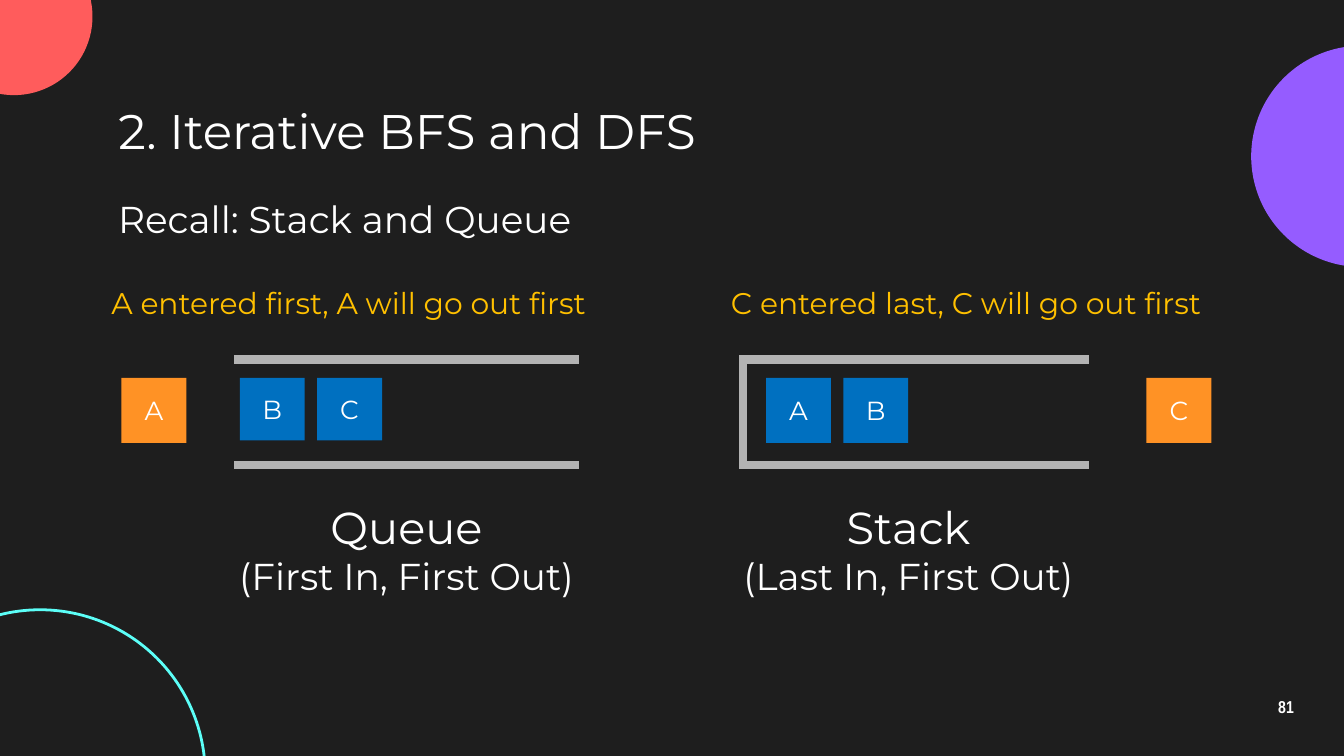
from lxml.etree import SubElement as Sub
from pptx import Presentation
from pptx.dml.color import RGBColor as Color
from pptx.enum.shapes import MSO_CONNECTOR as Conn, MSO_SHAPE as Kind
from pptx.enum.text import MSO_ANCHOR as Anchor, MSO_AUTO_SIZE as Fit, PP_ALIGN as Align
from pptx.oxml.ns import qn
from pptx.util import Pt

FONT = "Montserrat"
WHITE, GOLD, GRAY = "FFFFFF", "FFC000", "B3B3B3"
BLUE, ORANGE, DARK = "0070C0", "FF9225", "1E1E1E"
SIDE, STEP = 34.8, 41.4  # box width and pitch
TOP, LOW = 192.6, 249    # rails of both structures
RAIL = 185


def paint(item, tone):
    """Set a fill, line or font colour from a hex string."""
    if hasattr(item, "solid"):
        item.solid()
        item = item.fore_color
    else:
        item = item.color
    item.rgb = Color.from_string(tone)


def style(para, size, tone=WHITE, align=Align.LEFT, face=FONT, bold=False):
    para.alignment = align
    font = para.font
    font.name, font.size, font.bold = face, Pt(size), bold
    paint(font, tone)


def place(shape, x, y, w, h):
    shape.left, shape.top, shape.width, shape.height = Pt(x), Pt(y), Pt(w), Pt(h)


def setup(frame, anchor=Anchor.TOP):
    frame.word_wrap = True
    frame.auto_size = Fit.NONE
    frame.vertical_anchor = anchor
    frame.margin_left = frame.margin_right = Pt(7.2)
    frame.margin_top = frame.margin_bottom = Pt(7.2)


def label(slide, x, y, w, h, rows, anchor=Anchor.TOP, **look):
    """Add a text box; rows holds (text, size) pairs."""
    frame = slide.shapes.add_textbox(Pt(x), Pt(y), Pt(w), Pt(h)).text_frame
    setup(frame, anchor)
    for i, (text, size) in enumerate(rows):
        para = frame.add_paragraph() if i else frame.paragraphs[0]
        para.text = text
        style(para, size, **look)
    return frame


def disc(slide, x, y, size, fill=None, edge=None):
    shape = slide.shapes.add_shape(Kind.OVAL, Pt(x), Pt(y), Pt(size), Pt(size))
    shape.shadow.inherit = False
    if fill:
        paint(shape.fill, fill)
    else:
        shape.fill.background()
    if edge:
        paint(shape.line, edge)
        shape.line.width = Pt(1.5)
    else:
        shape.line.fill.background()


def box(slide, x, text, tone, high=SIDE):
    shape = slide.shapes.add_shape(Kind.RECTANGLE, Pt(x), Pt(202.5), Pt(SIDE), Pt(high))
    shape.shadow.inherit = False
    paint(shape.fill, tone)
    shape.line.fill.background()
    frame = shape.text_frame
    frame.vertical_anchor = Anchor.MIDDLE
    frame.text = text
    style(frame.paragraphs[0], 14, align=Align.CENTER)


def row(slide, x, names, high=SIDE):
    for i, name in enumerate(names):
        box(slide, x + i * STEP, name, BLUE, high)


def bar(slide, x1, y1, x2, y2):
    line = slide.shapes.add_connector(Conn.STRAIGHT, Pt(x1), Pt(y1), Pt(x2), Pt(y2))
    paint(line.line, GRAY)
    line.line.width = Pt(4.5)
    Sub(line._element.spPr, qn("a:effectLst"))


def rails(slide, x):
    for y in (TOP, LOW):
        bar(slide, x, y, x + RAIL, y)


def main():
    deck = Presentation()
    deck.slide_width, deck.slide_height = Pt(720), Pt(405)
    slide = deck.slides.add_slide(deck.slide_layouts[5])
    paint(slide.background.fill, DARK)

    # Corner circles
    disc(slide, 670.3, 24.5, 118.6, fill="955CFF")
    disc(slide, -34.6, -33.2, 84.2, fill="FF5C5C")
    disc(slide, -67, 326.7, 177, edge="5CFFF8")

    # Headings and page number
    title = slide.shapes.title
    place(title, 56.2, 51.1, 607.7, 36.7)
    setup(title.text_frame, Anchor.MIDDLE)
    title.text_frame.text = "2. Iterative BFS and DFS"
    style(title.text_frame.paragraphs[0], 26)
    label(slide, 56.2, 97.9, 496.8, 36.7, [("Recall: Stack and Queue", 20)])
    page = label(slide, 667.4, 367.2, 43.2, 24.5, [("81", 9.2)], Anchor.MIDDLE,
                 align=Align.CENTER, face="Arial Narrow", bold=True)
    page.paragraphs[0].line_spacing = 0.9

    # Queue: open at both ends
    rails(slide, 125.4)
    box(slide, 65.1, "A", ORANGE)
    row(slide, 128.5, "BC", 33.5)

    # Stack: closed on the left
    rails(slide, 398.2)
    bar(slide, 398.2, TOP - 2.25, 398.2, LOW + 2.25)
    row(slide, 410.4, "AB")
    box(slide, 614.2, "C", ORANGE)

    # Notes above and names below
    for x, text in ((52.6, "A entered first, A will go out first"),
                    (384.5, "C entered last, C will go out first")):
        label(slide, x, 145.4, 314.6, 36.7, [(text, 16)], tone=GOLD)
    for x, name, rule in ((114.5, "Queue", "(First In, First Out)"),
                          (383.4, "Stack", "(Last In, First Out)")):
        label(slide, x, 260.6, 206.6, 36.7, [(name, 24), (rule, 20)], align=Align.CENTER)

    deck.save("out.pptx")


if __name__ == "__main__":
    main()
